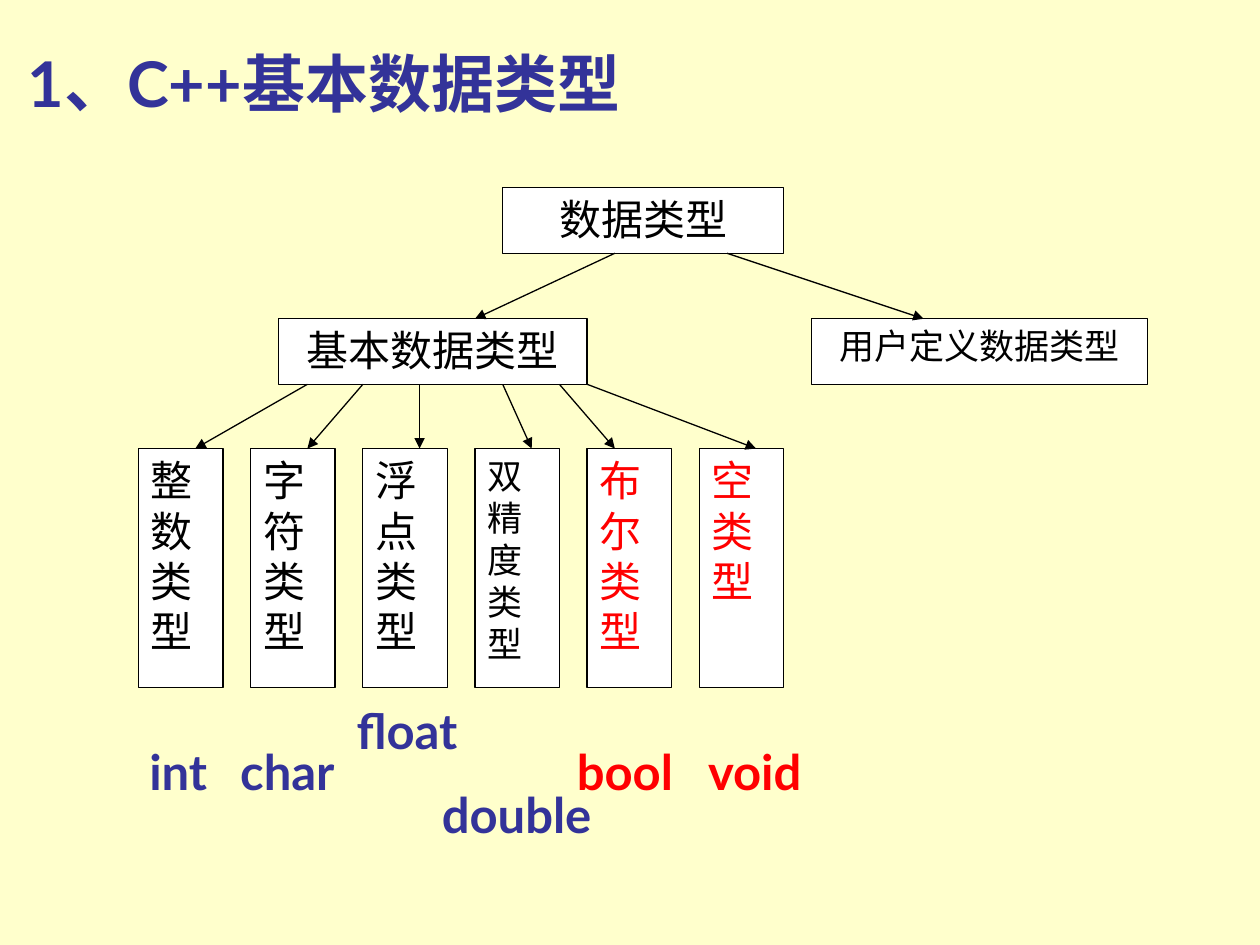
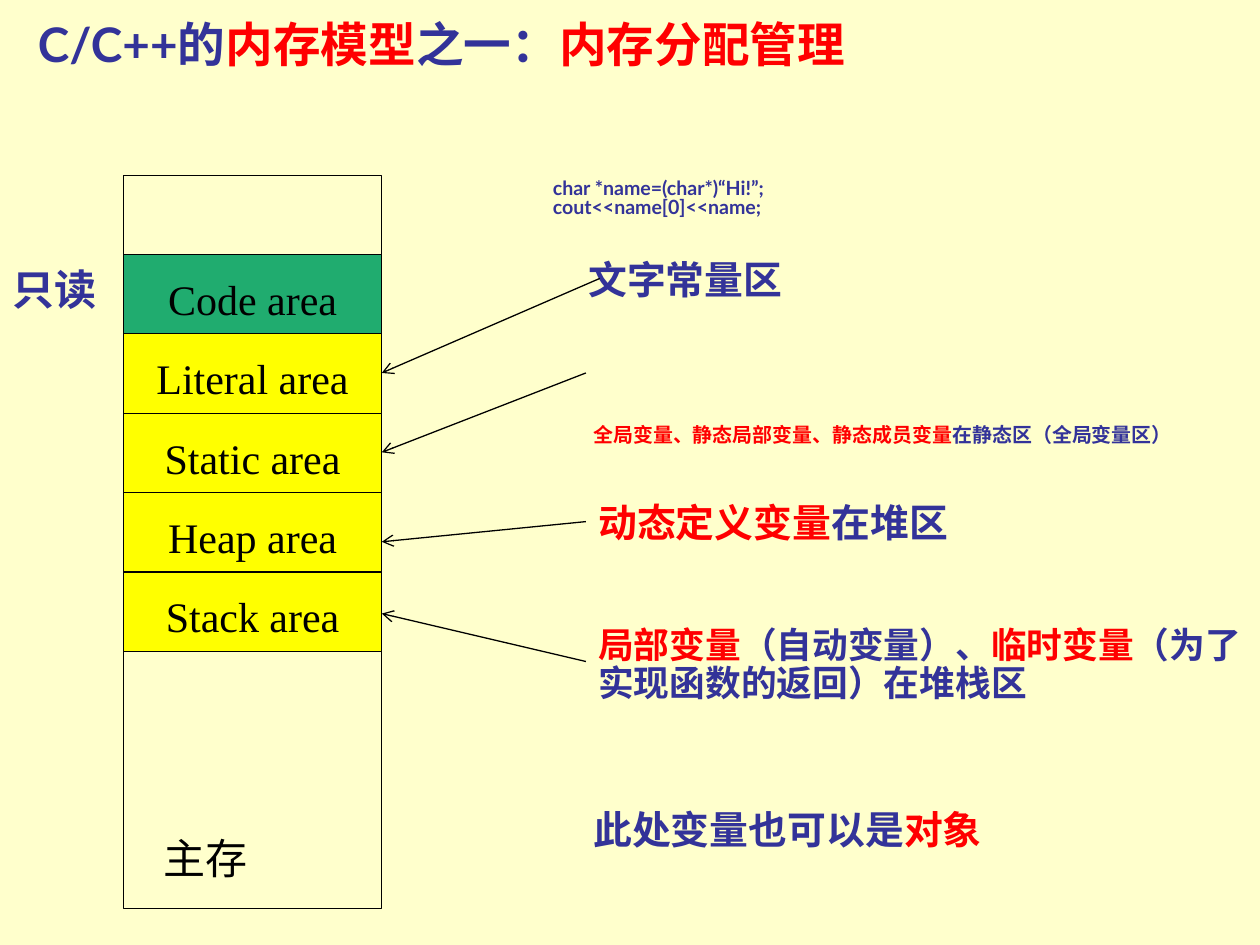
"""Build two slides on C++ basic data types and the C/C++ memory model."""
from dataclasses import dataclass
from typing import NamedTuple, Optional

from lxml.etree import SubElement
from pptx import Presentation
from pptx.dml.color import RGBColor as Color
from pptx.enum.shapes import MSO_AUTO_SHAPE_TYPE as Form, MSO_CONNECTOR_TYPE as Wire
from pptx.enum.text import MSO_ANCHOR as Anchor, MSO_AUTO_SIZE as Fit, PP_ALIGN as Align
from pptx.oxml.ns import qn
from pptx.presentation import Presentation as Deck
from pptx.shapes.autoshape import Shape
from pptx.slide import Slide
from pptx.text.text import TextFrame
from pptx.util import Inches, Pt


@dataclass(frozen=True)
class Theme:
    """Colours, fonts and type sizes of the deck."""
    paper: Color = Color.from_string("FFFFCC")
    ink: Color = Color.from_string("333399")
    accent: Color = Color.from_string("FF0000")
    black: Color = Color.from_string("000000")
    white: Color = Color.from_string("FFFFFF")
    code: Color = Color.from_string("20AC6F")
    data: Color = Color.from_string("FFFF00")
    sans: str = "Lato"
    serif: str = "Times New Roman"
    label: str = "Arial"
    title: float = 36
    subtitle: float = 27.2
    keyword: float = 28
    node: float = 24
    small_node: float = 20
    note: float = 22.2
    long_note: float = 20.4
    small_note: float = 11.4
    snippet: float = 11.2
    line: float = 0.75


THEME = Theme()


class Box(NamedTuple):
    """Left, top, width and height in inches."""
    left: float
    top: float
    width: float
    height: float


class Arrow(NamedTuple):
    """Start and end of an arrow in inches."""
    x1: float
    y1: float
    x2: float
    y2: float


@dataclass(frozen=True)
class Node:
    """A framed box of the type tree."""
    text: str
    box: Box
    size: float = THEME.node


@dataclass(frozen=True)
class BasicType:
    """A basic type: its column, the arrow to it and its keyword."""
    name: str
    arrow_from: float
    arrow_to: float
    keyword: str
    keyword_box: Box
    size: float = THEME.node


@dataclass(frozen=True)
class Note:
    """A remark beside the memory column."""
    text: str
    box: Box
    size: float = THEME.note
    spacing: float = 0.9
    arrow: Optional[Arrow] = None


@dataclass(frozen=True)
class Area:
    """A labelled block of memory."""
    name: str
    fill: Color


TREE_NODES = (
    Node("数据类型", Box(3.99, 1.49, 2.23, 0.52)),
    Node("基本数据类型", Box(2.21, 2.53, 2.45, 0.52)),
    Node("用户定义数据类型", Box(6.44, 2.53, 2.67, 0.52), THEME.small_node),
)
TREE_ARROWS = (Arrow(4.88, 2.01, 3.77, 2.53), Arrow(5.77, 2.01, 7.33, 2.53))
BASIC_TYPES = (
    BasicType("整数类型", 2.44, 1.55, "int", Box(0.98, 5.8, 0.87, 0.6)),
    BasicType("字符类型", 2.88, 2.44, "char", Box(1.77, 5.8, 1.02, 0.6)),
    BasicType("浮点类型", 3.33, 3.33, "float", Box(2.72, 5.48, 1.02, 0.6)),
    BasicType("双精度类型", 3.99, 4.22, "double", Box(3.35, 6.14, 1.5, 0.6), THEME.small_node),
    BasicType("|布尔类型", 4.44, 4.88, "|bool", Box(4.21, 5.8, 1.5, 0.6)),
    BasicType("|空类型", 4.66, 6, "|void", Box(5.24, 5.8, 1.5, 0.6)),
)
COLUMN = Box(1.1, 3.56, 0.67, 1.9)
COLUMN_PITCH = 0.89
PARENT_BOTTOM = 3.05

MEMORY = Box(0.98, 1.39, 2.05, 5.82)
AREA_TOP, AREA_HEIGHT = 2.02, 0.63
AREAS = (
    Area("Code area", THEME.code),
    Area("Literal area", THEME.data),
    Area("Static area", THEME.data),
    Area("Heap area", THEME.data),
    Area("Stack area", THEME.data),
)
MEMORY_RIGHT = MEMORY.left + MEMORY.width
NOTES = (
    Note("char *name=(char*)“Hi!”;\ncout<<name[0]<<name;",
         Box(4.29, 1.31, 5.67, 0.47), THEME.snippet, 0.8),
    Note("文字常量区", Box(4.57, 1.98, 5.39, 0.47),
         arrow=Arrow(4.76, 2.21, MEMORY_RIGHT, 2.96)),
    Note("|全局变量、静态局部变量、静态成员变量|在静态区（全局变量区）",
         Box(4.61, 3.12, 5.39, 0.47), THEME.small_note, 0.8,
         Arrow(4.65, 2.96, MEMORY_RIGHT, 3.59)),
    Note("|动态定义变量|在堆区", Box(4.65, 3.91, 5.39, 0.47),
         arrow=Arrow(4.65, 4.14, MEMORY_RIGHT, 4.3)),
    Note("|局部变量|（自动变量）、|临时变量|（为了实现函数的返回）在堆栈区",
         Box(4.65, 4.85, 5.39, 0.79), THEME.long_note,
         arrow=Arrow(4.65, 5.25, MEMORY_RIGHT, 4.87)),
    Note("此处变量也可以是|对象", Box(4.61, 6.35, 5.39, 0.47)),
)


def write(frame: TextFrame, text: str, *, size: float, font: str = THEME.sans,
          color: Color = THEME.ink, bold: bool = True, align: Align = Align.LEFT,
          anchor: Anchor = Anchor.BOTTOM, spacing: float = 1.0,
          side: float = 0.1, top: float = 0.05) -> None:
    """Write text whose pieces between bars switch between color and the accent."""
    frame.word_wrap = True
    frame.auto_size = Fit.NONE
    frame.vertical_anchor = anchor
    frame.margin_left = frame.margin_right = Inches(side)
    frame.margin_top, frame.margin_bottom = Inches(top), Inches(0.05)
    for row, line in enumerate(text.split("\n")):
        para = frame.add_paragraph() if row else frame.paragraphs[0]
        para.alignment = align
        para.line_spacing = spacing
        for index, piece in enumerate(line.split("|")):
            if piece:
                span = para.add_run()
                span.text = piece
                span.font.name = font
                span.font.size = Pt(size)
                span.font.bold = bold
                span.font.color.rgb = THEME.accent if index % 2 else color


def add_label(slide: Slide, text: str, box: Box, **style) -> None:
    """Add a text box."""
    label = slide.shapes.add_textbox(*map(Inches, box))
    write(label.text_frame, text, **style)


def add_frame(slide: Slide, box: Box, fill: Optional[Color] = None) -> Shape:
    """Add a rectangle with a thin black outline."""
    frame = slide.shapes.add_shape(Form.RECTANGLE, *map(Inches, box))
    frame.shadow.inherit = False
    if fill is None:
        frame.fill.background()
    else:
        frame.fill.solid()
        frame.fill.fore_color.rgb = fill
    frame.line.color.rgb = THEME.black
    frame.line.width = Pt(THEME.line)
    return frame


def add_node(slide: Slide, text: str, box: Box, *, fill: Color = THEME.white,
             size: float = THEME.node, align: Align = Align.CENTER, **style) -> None:
    """Add a framed box with plain black text."""
    node = add_frame(slide, box, fill)
    write(node.text_frame, text, size=size, font=THEME.serif, color=THEME.black,
          bold=False, align=align, anchor=Anchor.TOP, **style)


def add_arrow(slide: Slide, arrow: Arrow, head: str) -> None:
    """Add a straight line with an arrowhead at its end."""
    connector = slide.shapes.add_connector(Wire.STRAIGHT, *map(Inches, arrow))
    connector.line.color.rgb = THEME.black
    connector.line.width = Pt(THEME.line)
    properties = connector.element.spPr
    SubElement(properties.find(qn("a:ln")), qn("a:tailEnd"), type=head)
    SubElement(properties, qn("a:effectLst"))


def add_titled_slide(deck: Deck, text: str, box: Box, **style) -> Slide:
    """Add a title-only slide with its title placed and formatted."""
    slide = deck.slides.add_slide(deck.slide_layouts[5])
    title = slide.shapes.title
    title.left, title.top, title.width, title.height = map(Inches, box)
    write(title.text_frame, text, **style)
    return slide


def build_type_tree(deck: Deck) -> None:
    """Draw the tree of data types."""
    slide = add_titled_slide(deck, "1、C++基本数据类型", Box(0.12, 0, 8.52, 1),
                             size=THEME.title)
    for node in TREE_NODES:
        add_node(slide, node.text, node.box, size=node.size)
    for arrow in TREE_ARROWS:
        add_arrow(slide, arrow, "triangle")
    for index, kind in enumerate(BASIC_TYPES):
        column = COLUMN._replace(left=COLUMN.left + index * COLUMN_PITCH)
        add_node(slide, kind.name, column, size=kind.size, align=Align.JUSTIFY)
        add_arrow(slide, Arrow(kind.arrow_from, PARENT_BOTTOM, kind.arrow_to, COLUMN.top),
                  "triangle")
        add_label(slide, kind.keyword, kind.keyword_box, size=THEME.keyword,
                  align=Align.CENTER, side=0.02)


def build_memory_model(deck: Deck) -> None:
    """Draw the memory column and its notes."""
    slide = add_titled_slide(deck, "C/C++的|内存模型|之一：|内存分配管理",
                             Box(0.2, 0.05, 9.21, 0.58), size=THEME.subtitle, spacing=0.9)
    add_frame(slide, MEMORY)
    add_label(slide, "主存", Box(1.2, 6.52, 1.61, 0.54), size=THEME.node, font=THEME.serif,
              color=THEME.black, bold=False, anchor=Anchor.TOP, spacing=1.1)
    for index, area in enumerate(AREAS):
        block = MEMORY._replace(top=AREA_TOP + index * AREA_HEIGHT, height=AREA_HEIGHT)
        add_node(slide, area.name, block, fill=area.fill, spacing=1.1, top=0.11)
    add_label(slide, "只读", Box(0, 2.04, 0.92, 0.5), size=THEME.node, font=THEME.label,
              anchor=Anchor.TOP)
    for note in NOTES:
        add_label(slide, note.text, note.box, size=note.size, spacing=note.spacing)
        if note.arrow:
            add_arrow(slide, note.arrow, "arrow")


def main() -> None:
    """Build and save the deck."""
    deck = Presentation()
    deck.slide_width, deck.slide_height = Inches(10), Inches(7.5)
    paper = deck.slide_master.background.fill
    paper.solid()
    paper.fore_color.rgb = THEME.paper
    build_type_tree(deck)
    build_memory_model(deck)
    deck.save("out.pptx")


if __name__ == "__main__":
    main()
